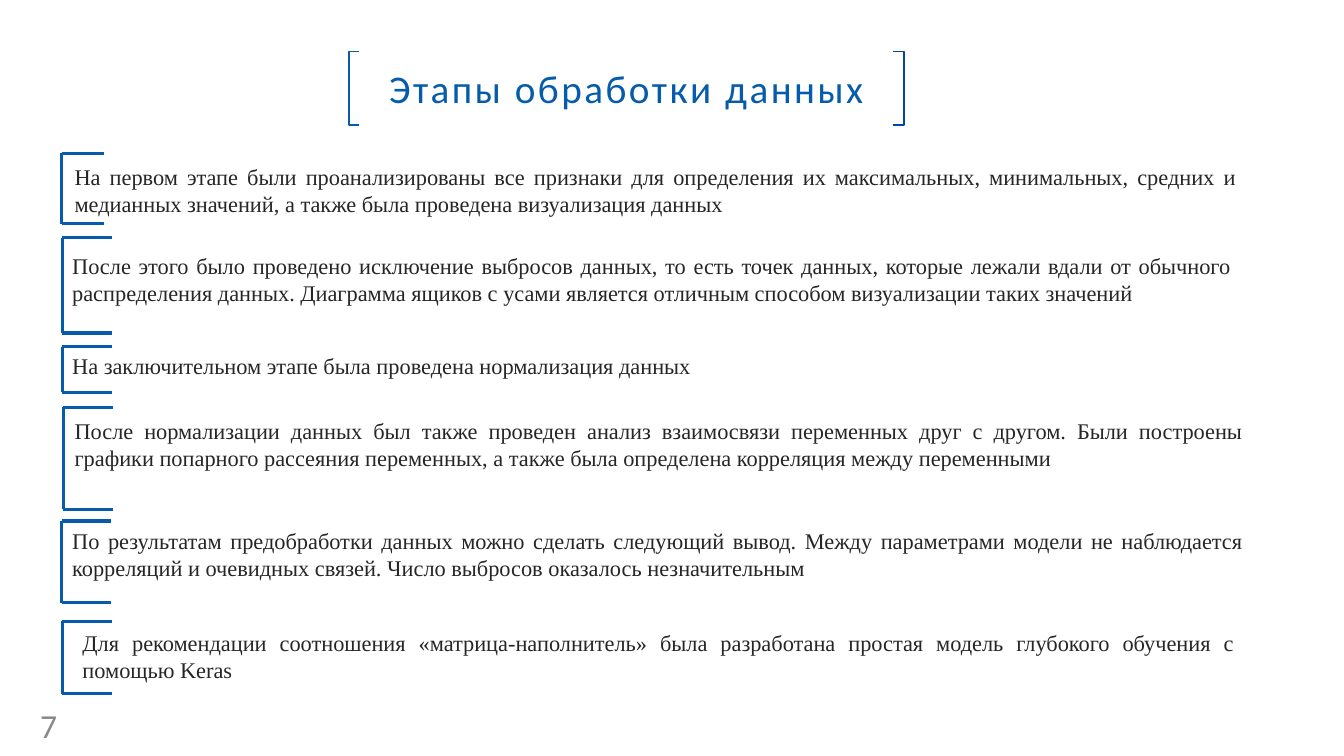
from lxml.etree import SubElement
from pptx import Presentation
from pptx.dml.color import RGBColor
from pptx.enum.shapes import MSO_CONNECTOR, MSO_SHAPE
from pptx.enum.text import MSO_ANCHOR, PP_ALIGN
from pptx.oxml import parse_xml
from pptx.oxml.ns import nsdecls, qn
from pptx.util import Cm, Pt

BLUE, DARK_BLUE, TEXT, GREY, WHITE = "065CAB", "0046A2", "262626", "898989", "FFFFFF"

# Content, lengths in cm
TITLE = "Этапы обработки данных"
TITLE_BOX = (8.79, 1.3, 14, 1.85)
TITLE_BRACKETS = [(8.79, 0.25, BLUE), (22.78, -0.28, DARK_BLUE)]  # x, arm, colour
PAGE = "7"
PAGE_BOX = (0.76, 17.88, 1.57, 0.76)

# Bracket (x, top, bottom, arm), text box (left, top, width, height), text
STAGES = [
    ((1.55, 3.86, 5.64, 1.07), (1.63, 3.99, 29.79, 1.63),
     "На первом этапе были проанализированы все признаки для определения их максимальных, "
     "минимальных, средних и медианных значений, а также была проведена визуализация данных"),
    ((1.57, 5.99, 8.39, 1.24), (1.57, 6.22, 29.72, 1.63),
     "После этого было проведено исключение выбросов данных, то есть точек данных, которые "
     "лежали вдали от обычного распределения данных. Диаграмма ящиков с усами является "
     "отличным способом визуализации таких значений"),
    ((1.57, 8.74, 9.88, 1.24), (1.57, 8.74, 26.97, 0.94),
     "На заключительном этапе была проведена нормализация данных"),
    ((1.6, 10.26, 12.83, 1.24), (1.63, 10.39, 29.95, 1.63),
     "После нормализации данных был также проведен анализ взаимосвязи переменных друг с "
     "другом. Были построены графики попарного рассеяния переменных, а также была определена "
     "корреляция между переменными"),
    ((1.55, 13.13, 15.19, 1.24), (1.57, 13.16, 30.02, 1.63),
     "По результатам предобработки данных можно сделать следующий вывод. Между параметрами "
     "модели не наблюдается корреляций и очевидных связей. Число выбросов оказалось "
     "незначительным"),
    ((1.57, 15.65, 17.48, 1.24), (1.83, 15.72, 29.54, 1.63),
     "Для рекомендации соотношения «матрица-наполнитель» была разработана простая модель "
     "глубокого обучения с помощью Keras"),
]


def rgb(color):
    return RGBColor.from_string(color)


def set_line(sp, color, width):
    sp.line.color.rgb = rgb(color)
    sp.line.width = Pt(width)


def write(sp, text, font, size, color, align, anchor):
    tf = sp.text_frame
    tf.word_wrap = True
    tf.vertical_anchor = anchor
    p = tf.paragraphs[0]
    p.alignment = align
    r = p.add_run()
    r.text = text
    p.font.name, p.font.size = font, Pt(size)
    p.font.color.rgb = rgb(color)
    return r


def add_text(s, box, *style):
    return write(s.shapes.add_textbox(*map(Cm, box)), *style)


def add_line(s, x1, y1, x2, y2):
    sp = s.shapes.add_connector(MSO_CONNECTOR.STRAIGHT, *map(Cm, (x1, y1, x2, y2)))
    set_line(sp, BLUE, 2.25)
    SubElement(sp._element.spPr, qn("a:effectLst"))


prs = Presentation()
prs.slide_width, prs.slide_height = Cm(33.87), Cm(19.05)
s = prs.slides.add_slide(prs.slide_layouts[6])

# Title with letter spacing and a thin text outline
sp = s.shapes.add_shape(MSO_SHAPE.RECTANGLE, *map(Cm, TITLE_BOX))
sp.shadow.inherit = False
sp.fill.solid()
sp.fill.fore_color.rgb = rgb(WHITE)
set_line(sp, WHITE, 2)
r = write(sp, TITLE, "Calibri", 28, BLUE, PP_ALIGN.CENTER, MSO_ANCHOR.MIDDLE)
rPr = r._r.get_or_add_rPr()
rPr.set("spc", "180")
rPr.insert(0, parse_xml(
    f'<a:ln {nsdecls("a")} w="9525"><a:solidFill><a:srgbClr val="{BLUE}"/></a:solidFill></a:ln>'))

# Title brackets
top, bottom = TITLE_BOX[1], TITLE_BOX[1] + TITLE_BOX[3]
for x, arm, color in TITLE_BRACKETS:
    fb = s.shapes.build_freeform(Cm(x + arm), Cm(top))
    fb.add_line_segments([(Cm(x), Cm(top)), (Cm(x), Cm(bottom)), (Cm(x + arm), Cm(bottom))],
                         close=False)
    sp = fb.convert_to_shape()
    sp.shadow.inherit = False
    sp.fill.background()
    set_line(sp, color, 1.3)

# Stages: bracket and text
for (x, top, bottom, arm), box, text in STAGES:
    add_line(s, x, top, x, bottom)
    for y in (top, bottom):
        add_line(s, x, y, x + arm, y)
    add_text(s, box, text, "Times New Roman", 16, TEXT, PP_ALIGN.JUSTIFY, MSO_ANCHOR.TOP)

# Page number
add_text(s, PAGE_BOX, PAGE, "Calibri", 24, GREY, PP_ALIGN.LEFT, MSO_ANCHOR.MIDDLE)

prs.save("out.pptx")
